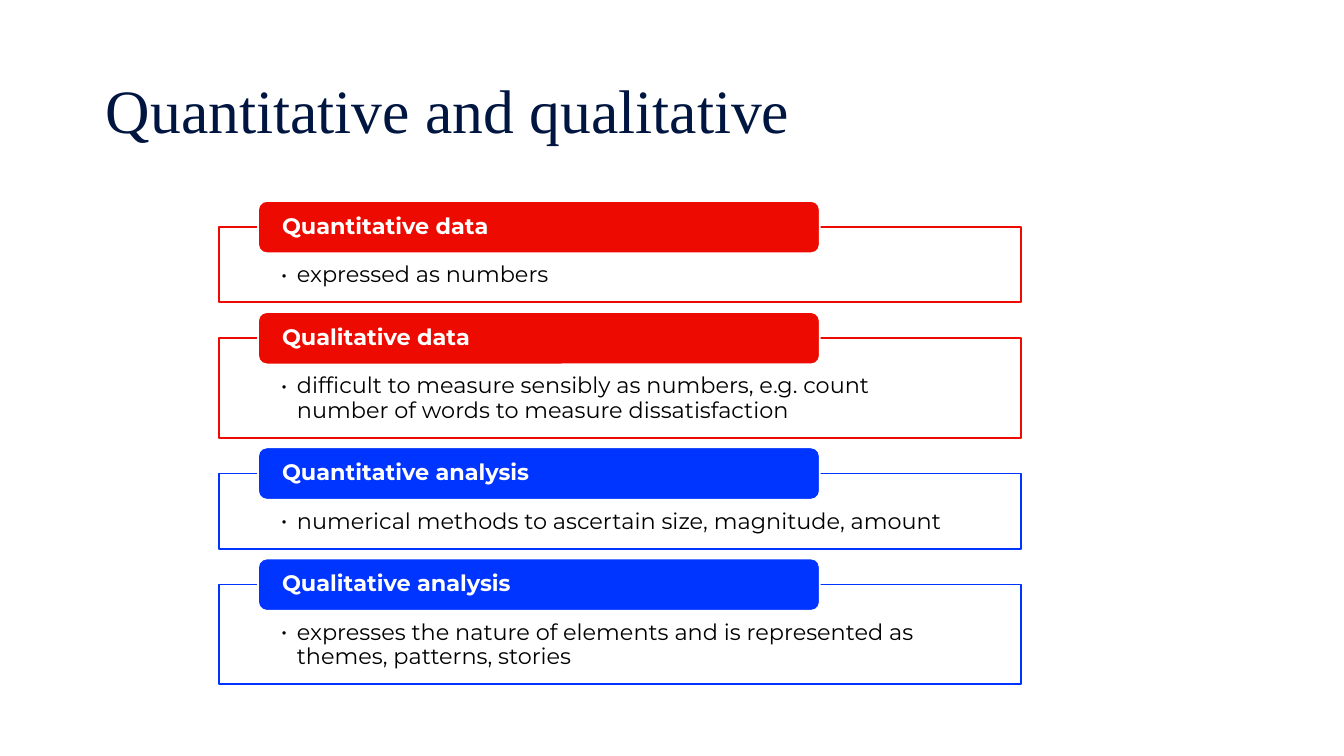
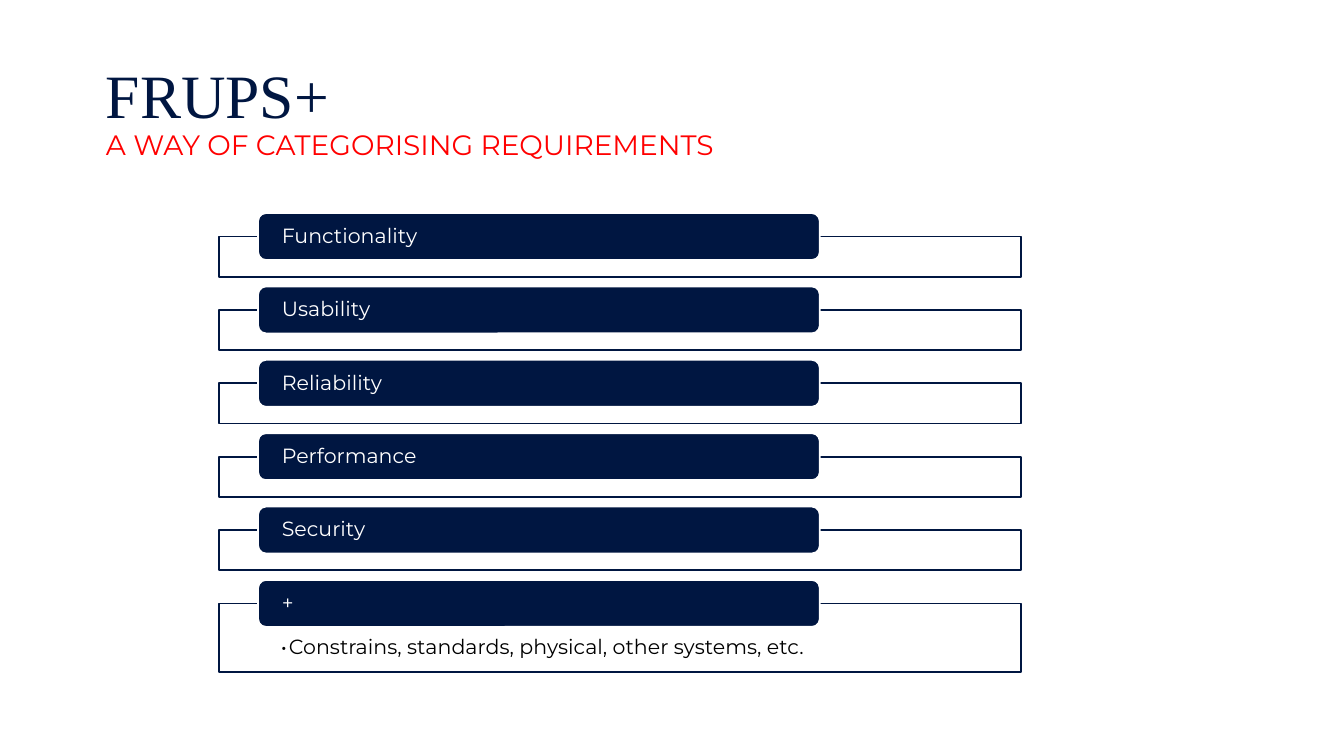
from lxml import etree
from pptx import Presentation
from pptx.dml.color import RGBColor
from pptx.enum.shapes import MSO_SHAPE
from pptx.enum.text import MSO_ANCHOR, PP_ALIGN
from pptx.oxml.ns import qn
from pptx.util import Inches, Pt

RECTANGLE, ROUNDED = MSO_SHAPE.RECTANGLE, MSO_SHAPE.ROUNDED_RECTANGLE
TOP, MIDDLE = MSO_ANCHOR.TOP, MSO_ANCHOR.MIDDLE
LEFT = PP_ALIGN.LEFT

NAVY = RGBColor(0x00, 0x16, 0x41)
RED = RGBColor(0xED, 0x0A, 0x00)
BRIGHT_RED = RGBColor(0xFF, 0x00, 0x00)
BLUE = RGBColor(0x00, 0x34, 0xFF)
WHITE = RGBColor(0xFF, 0xFF, 0xFF)
BLACK = RGBColor(0x00, 0x00, 0x00)

SERIF, SANS = "Times New Roman", "Montserrat"

# Each section: heading, colour, frame height, detail text
SLIDES = [
    {
        "title": "Quantitative and qualitative",
        "subtitle": "",
        "style": {"top": 1.69, "bottom": 5.09, "tab_height": 0.39, "size": 12,
                  "bold": True, "detail_inset": 0.27, "hanging": 0.12},
        "sections": [
            ("Quantitative data", RED, 0.56, "expressed as numbers"),
            ("Qualitative data", RED, 0.74,
             "difficult to measure sensibly as numbers, e.g. count number of words "
             "to measure dissatisfaction"),
            ("Quantitative analysis", BLUE, 0.56,
             "numerical methods to ascertain size, magnitude, amount"),
            ("Qualitative analysis", BLUE, 0.74,
             "expresses the nature of elements and is represented as themes, "
             "patterns, stories"),
        ],
    },
    {
        "title": "FRUPS+",
        "subtitle": "A WAY OF CATEGORISING REQUIREMENTS",
        "style": {"top": 1.76, "bottom": 5.0, "tab_height": 0.35, "size": 11,
                  "bold": False, "detail_inset": 0.25, "hanging": 0.06},
        "sections": [
            ("Functionality", NAVY, 0.3, ""),
            ("Usability", NAVY, 0.3, ""),
            ("Reliability", NAVY, 0.3, ""),
            ("Performance", NAVY, 0.3, ""),
            ("Security", NAVY, 0.3, ""),
            ("+", NAVY, 0.51, "Constrains, standards, physical, other systems, etc."),
        ],
    },
]

FRAME_LEFT, FRAME_WIDTH = 1.63, 5.97
TAB_LEFT, TAB_WIDTH = 1.92, 4.18


def write(box, spans, anchor=MIDDLE, insets=(0.1, 0.05, 0.1, 0.05), hanging=0):
    """Fill a box with one paragraph of (text, font, size, colour, bold) lines.

    A hanging indent, in inches, makes the paragraph a bullet."""
    frame = box.text_frame
    frame.word_wrap = True
    frame.vertical_anchor = anchor
    (frame.margin_left, frame.margin_top,
     frame.margin_right, frame.margin_bottom) = map(Inches, insets)
    para = frame.paragraphs[0]
    para.alignment = LEFT
    para.line_spacing = 0.9
    for index, (text, font, size, colour, bold) in enumerate(spans):
        if index:
            para.add_line_break()
        span = para.add_run()
        span.text = text
        span.font.name = font
        span.font.size = Pt(size)
        span.font.bold = bold
        span.font.color.rgb = colour
    if hanging:
        para.level = 1
        properties = para._p.get_or_add_pPr()
        properties.set("marL", str(Inches(hanging)))
        properties.set("indent", str(-Inches(hanging)))
        etree.SubElement(properties, qn("a:buFont")).set("typeface", SANS)
        etree.SubElement(properties, qn("a:buChar")).set("char", "•")


def add_box(page, preset, place, fill, line):
    box = page.shapes.add_shape(preset, *map(Inches, place))
    box.shadow.inherit = False
    box.fill.solid()
    box.fill.fore_color.rgb = fill
    box.line.color.rgb = line
    box.line.width = Pt(1)
    return box


def add_title(page, title, subtitle):
    spans = [(title, SERIF, 33, NAVY, False)]
    if subtitle:
        spans.append((subtitle, SANS, 15, BRIGHT_RED, False))
    box = page.shapes.add_textbox(*map(Inches, (0.69, 0.3, 8.62, 1.09)))
    write(box, spans)


def add_sections(page, sections, top, bottom, tab_height, size, bold,
                 detail_inset, hanging):
    """Stack frames with equal gaps, each with a tab centred on its top edge."""
    total = sum(height for _, _, height, _ in sections)
    gap = (bottom - top - total) / (len(sections) - 1)
    for heading, colour, height, detail in sections:
        frame = add_box(page, RECTANGLE, (FRAME_LEFT, top, FRAME_WIDTH, height),
                        WHITE, colour)
        if detail:
            write(frame, [(detail, SANS, size, BLACK, False)], anchor=TOP,
                  insets=(0.46, detail_inset, 0.46, 0.09), hanging=hanging)
        tab = add_box(page, ROUNDED,
                      (TAB_LEFT, top - tab_height / 2, TAB_WIDTH, tab_height),
                      colour, WHITE)
        write(tab, [(heading, SANS, size, WHITE, bold)], insets=(0.16, 0, 0.16, 0))
        top += height + gap


def main():
    deck = Presentation()
    deck.slide_width = Inches(10)
    deck.slide_height = deck.slide_width * 9 // 16
    blank = deck.slide_layouts[6]
    for content in SLIDES:
        page = deck.slides.add_slide(blank)
        add_title(page, content["title"], content["subtitle"])
        add_sections(page, content["sections"], **content["style"])
    deck.save("out.pptx")


if __name__ == "__main__":
    main()
